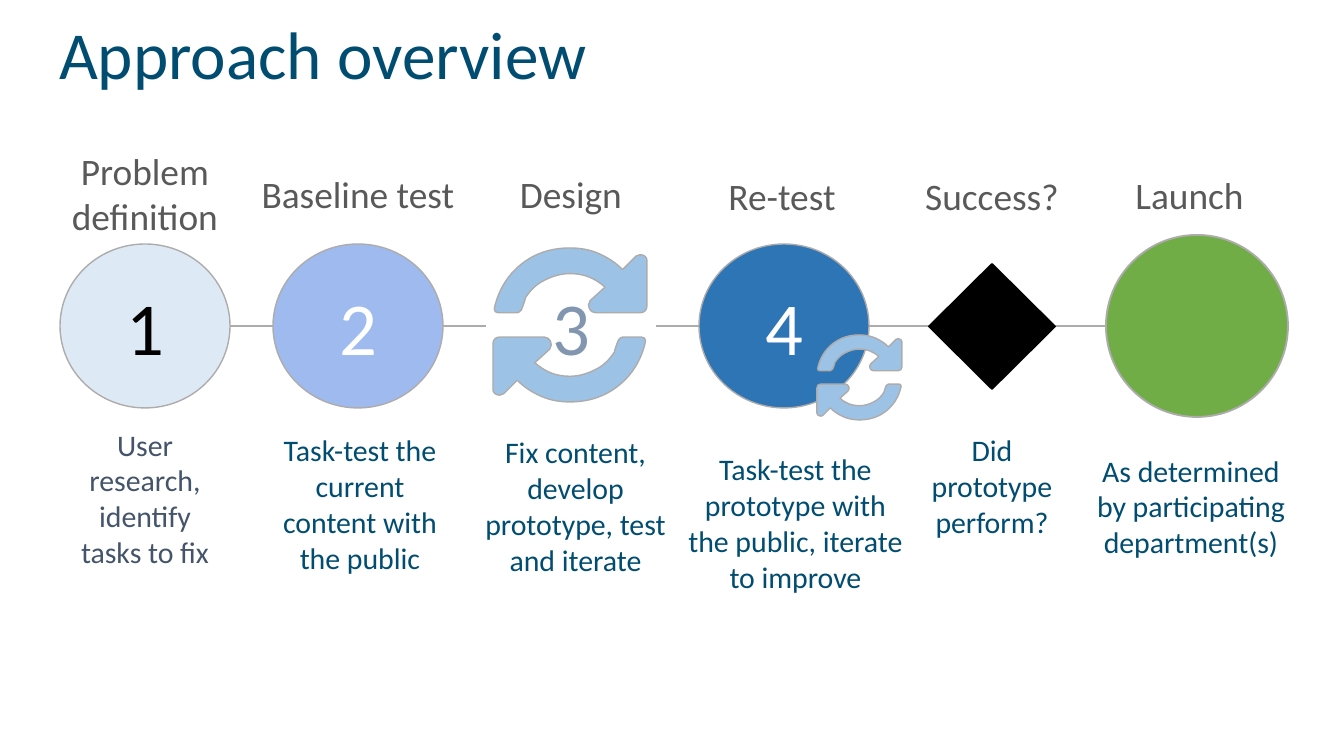
from pptx import Presentation
from pptx.dml.color import RGBColor
from pptx.enum.shapes import MSO_CONNECTOR, MSO_SHAPE
from pptx.enum.text import MSO_ANCHOR, PP_ALIGN
from pptx.oxml.ns import qn
from pptx.util import Emu, Pt
from lxml import etree

EMU_PER_INCH = 914400
PX_PER_INCH = 134.4
FONT = "Calibri"
ELLIPSE = MSO_SHAPE.OVAL
DECISION = MSO_SHAPE.FLOWCHART_DECISION
STRAIGHT = MSO_CONNECTOR.STRAIGHT
MIDDLE = MSO_ANCHOR.MIDDLE
LEFT, CENTER = PP_ALIGN.LEFT, PP_ALIGN.CENTER

NAVY, SLATE, GRAY, OUTLINE = "004D71", "44546A", "595959", "AEABAB"
CYCLE_BLUE = "9CC2E5"

CIRCLE_LEFT, CIRCLE_TOP, CIRCLE_STEP = 60, 244, 213
CIRCLE_WIDTH, CIRCLE_HEIGHT = 170, 164
AXIS = CIRCLE_TOP + CIRCLE_HEIGHT // 2
LAUNCH_LEFT, LAUNCH_SIZE = 1106, 182

STEPS = [
    ("1", "DDEAF6", OUTLINE, "000000"),
    ("2", "9EBAEE", OUTLINE, "FFFFFF"),
    ("3", "FFFFFF", None, "8296B0"),
    ("4", "2E75B5", OUTLINE, "FFFFFF"),
]

HEADINGS = [
    ("Problem definition", (26, 151, 238, 85)),
    ("Baseline test", (239, 151, 238, 85)),
    ("Design", (452, 151, 238, 85)),
    ("Re-test", (663, 153, 238, 85)),
    ("Success?", (873, 153, 238, 85)),
    ("Launch", (1062, 169, 255, 52)),
]

DETAILS = [
    ("User research, identify tasks to fix", (60, 457, 170, 82), SLATE),
    ("Task-test the current content with the public", (254, 429, 212, 149), NAVY),
    ("Fix content, develop prototype, test and iterate", (469, 447, 213, 117), NAVY),
    ("Task-test the prototype with the public, iterate to improve",
     (671, 466, 249, 113), NAVY),
    ("Did prototype perform?", (907, 429, 170, 113), NAVY),
    ("As determined by participating department(s)", (1077, 433, 228, 146), NAVY),
]

ARROW_SPAN = 114
ARROW_START = (1, 45)
ARROW_SEGMENTS = [
    [(4, 31), (11, 20), (21, 12)],
    [(31, 4), (43, 0), (57, 0)],
    [(64, 0), (71, 1), (78, 4)],
    [(85, 7), (91, 11), (96, 16)],
    [(106, 6)],
    [(107, 5), (108, 5), (109, 5)],
    [(112, 5), (114, 7), (114, 9)],
    [(114, 43)],
    [(114, 46), (112, 48), (109, 48)],
    [(76, 48)],
    [(72, 48), (69, 43), (72, 39)],
    [(83, 29)],
    [(75, 22), (67, 19), (57, 19)],
    [(50, 19), (44, 21), (38, 24)],
    [(32, 27), (28, 31), (24, 37)],
    [(24, 38), (23, 41), (21, 46)],
    [(20, 47), (19, 48), (18, 48)],
    [(4, 48)],
    [(2, 48), (1, 47), (1, 45)],
]


def px(value):
    return Emu(round(value * EMU_PER_INCH / PX_PER_INCH))


def color(hex_string):
    return RGBColor.from_string(hex_string)


def style_shape(shape, fill, line, weight=0.75):
    shape.shadow.inherit = False
    shape.fill.solid()
    shape.fill.fore_color.rgb = color(fill)
    if line is None:
        shape.line.fill.background()
    else:
        shape.line.color.rgb = color(line)
        shape.line.width = Pt(weight)


def write_text(shape, text, size, font_color, align=CENTER):
    frame = shape.text_frame
    frame.word_wrap = True
    frame.vertical_anchor = MIDDLE
    frame.text = text
    para = frame.paragraphs[0]
    para.alignment = align
    font = para.runs[0].font
    font.name = FONT
    font.size = Pt(size)
    font.color.rgb = color(font_color)


def add_text(page, text, bounds, size, font_color, align=CENTER):
    box = page.shapes.add_textbox(*map(px, bounds))
    write_text(box, text, size, font_color, align)


def add_node(page, kind, bounds, fill, line, weight=0.75):
    node = page.shapes.add_shape(kind, *map(px, bounds))
    style_shape(node, fill, line, weight)
    return node


def add_link(page, start, end):
    link = page.shapes.add_connector(STRAIGHT, px(start), px(AXIS), px(end), px(AXIS))
    link.line.color.rgb = color(OUTLINE)
    link.line.width = Pt(0.75)
    etree.SubElement(link._element.spPr, qn("a:effectLst"))


def half_turn(point):
    return ARROW_SPAN - point[0], ARROW_SPAN - point[1]


def bend_segments(shape, segments):
    lines = list(shape._element.iter(qn("a:lnTo")))
    for line, points in zip(lines, segments):
        if len(points) == 3:
            curve = etree.Element(qn("a:cubicBezTo"))
            for x, y in points:
                etree.SubElement(curve, qn("a:pt"), x=str(x), y=str(y))
            line.getparent().replace(line, curve)


def add_cycle(page, left, top, size):
    lower_segments = [[half_turn(point) for point in points] for points in ARROW_SEGMENTS]
    builder = page.shapes.build_freeform(*ARROW_START, scale=px(size) / ARROW_SPAN)
    builder.add_line_segments([points[-1] for points in ARROW_SEGMENTS], close=True)
    builder.move_to(*half_turn(ARROW_START))
    builder.add_line_segments([points[-1] for points in lower_segments], close=True)
    cycle = builder.convert_to_shape(px(left), px(top))
    bend_segments(cycle, ARROW_SEGMENTS + lower_segments)
    style_shape(cycle, CYCLE_BLUE, OUTLINE)


def main():
    deck = Presentation()
    deck.slide_width, deck.slide_height = px(1344), px(756)
    page = deck.slides.add_slide(deck.slide_layouts[6])

    add_text(page, "Approach overview", (46, 10, 1253, 85), 36, NAVY, LEFT)

    for index, (number, fill, line, font_color) in enumerate(STEPS):
        left = CIRCLE_LEFT + index * CIRCLE_STEP
        right = left + CIRCLE_WIDTH
        bounds = (left, CIRCLE_TOP, CIRCLE_WIDTH, CIRCLE_HEIGHT)
        circle = add_node(page, ELLIPSE, bounds, fill, line)
        write_text(circle, number, 40, font_color)
        is_last = index == len(STEPS) - 1
        add_link(page, right, LAUNCH_LEFT if is_last else left + CIRCLE_STEP)

    launch_top = AXIS - LAUNCH_SIZE // 2
    add_node(page, ELLIPSE, (LAUNCH_LEFT, launch_top, LAUNCH_SIZE, LAUNCH_SIZE),
             "70AD47", OUTLINE, 1)
    add_node(page, DECISION, (929, 264, 126, 125), "000000", "000000", 1)

    for text, bounds in HEADINGS:
        add_text(page, text, bounds, 20, GRAY)
    for text, bounds, font_color in DETAILS:
        add_text(page, text, bounds, 16, font_color)

    add_cycle(page, 493, 248, 154)
    add_cycle(page, 817, 335, 85)
    deck.save("out.pptx")


if __name__ == "__main__":
    main()
